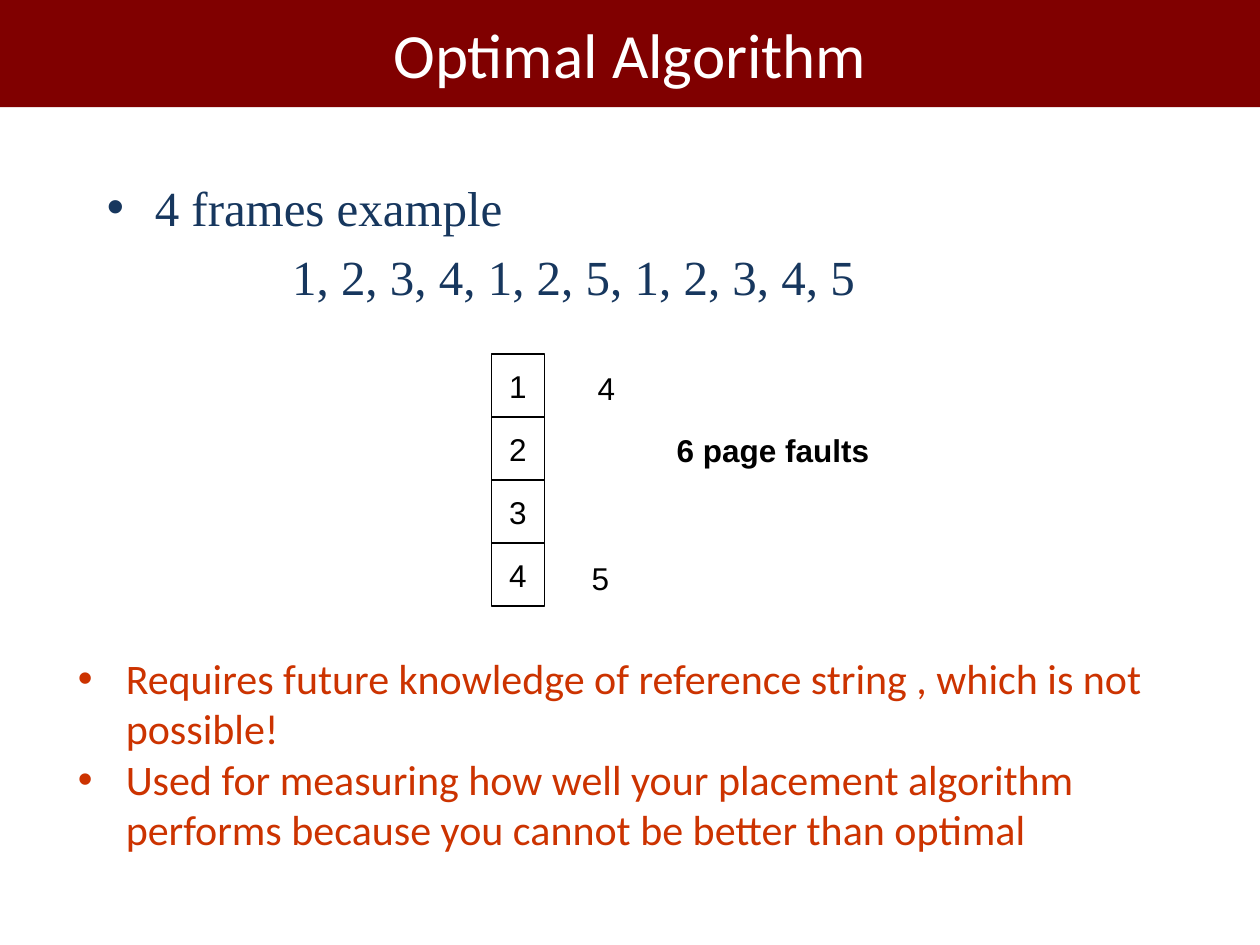
from lxml.etree import SubElement
from pptx import Presentation
from pptx.dml.color import RGBColor
from pptx.enum.shapes import MSO_SHAPE as Shape
from pptx.enum.text import MSO_ANCHOR as Anchor, PP_ALIGN as Align
from pptx.oxml.ns import qn
from pptx.util import Inches, Pt

COLORS = {
    "maroon": "800000",
    "white": "FFFFFF",
    "black": "000000",
    "navy": "17375E",
    "rust": "CC3300",
}
TITLE = {"name": "Calibri", "size": Pt(36), "color": "white"}
EXAMPLE = {"name": "Times New Roman", "size": Pt(28), "color": "navy"}
LABEL = {"name": "Arial", "size": Pt(18), "color": "black"}
BOLD_LABEL = {**LABEL, "bold": True}
REMARK = {"name": "Calibri", "size": Pt(24), "color": "rust"}
HANGING = 0.38


def rgb(color):
    return RGBColor.from_string(COLORS[color])


def style(paragraph, font_format):
    for attribute, value in font_format.items():
        if attribute == "color":
            paragraph.font.color.rgb = rgb(value)
        else:
            setattr(paragraph.font, attribute, value)


def write_line(paragraph, text, font_format, align=Align.CENTER):
    paragraph.text = text
    paragraph.alignment = align
    style(paragraph, font_format)


def indent(paragraph, left, first=0):
    properties = paragraph._p.get_or_add_pPr()
    properties.set("marL", str(Inches(left)))
    properties.set("indent", str(Inches(first)))
    return properties


def add_bullet(paragraph, color):
    properties = indent(paragraph, HANGING, -HANGING)
    bullet_color = SubElement(properties, qn("a:buClr"))
    SubElement(bullet_color, qn("a:srgbClr"), val=COLORS[color])
    SubElement(properties, qn("a:buFont"), typeface="Arial")
    SubElement(properties, qn("a:buChar"), char="•")


def add_box(slide, place, text, font_format, fill, outline=None):
    box = slide.shapes.add_shape(Shape.RECTANGLE, *map(Inches, place))
    box.shadow.inherit = False
    box.fill.solid()
    box.fill.fore_color.rgb = rgb(fill)
    if outline:
        box.line.color.rgb = rgb(outline)
        box.line.width = Pt(0.75)
    else:
        box.line.fill.background()
    box.text_frame.vertical_anchor = Anchor.MIDDLE
    box.text_frame.word_wrap = False
    write_line(box.text_frame.paragraphs[0], text, font_format)


def add_text_frame(slide, place, anchor=Anchor.TOP):
    frame = slide.shapes.add_textbox(*map(Inches, place)).text_frame
    frame.word_wrap = True
    frame.vertical_anchor = anchor
    return frame


def add_label(slide, place, text, font_format=LABEL, align=Align.CENTER):
    frame = add_text_frame(slide, place, Anchor.MIDDLE)
    frame.word_wrap = False
    write_line(frame.paragraphs[0], text, font_format, align)


def add_example(slide):
    frame = add_text_frame(slide, (0.75, 1.36, 8.98, 5.25))
    heading, reference_string = frame.paragraphs[0], frame.add_paragraph()
    add_bullet(heading, EXAMPLE["color"])
    write_line(heading, "4 frames example", EXAMPLE, Align.LEFT)
    indent(reference_string, 1.47)
    write_line(reference_string, "1, 2, 3, 4, 1, 2, 5, 1, 2, 3, 4, 5",
               EXAMPLE, Align.LEFT)
    reference_string.space_before = Pt(5.6)


def add_frames(slide):
    left, top, width, height = 3.9, 2.81, 0.42, 0.5
    for row in range(4):
        add_box(slide, (left, top + row * height, width, height),
                str(row + 1), LABEL, "white", "black")


def add_remarks(slide, remarks):
    frame = add_text_frame(slide, (0.52, 5.13, 9.03, 1.7))
    for number, remark in enumerate(remarks):
        paragraph = frame.add_paragraph() if number else frame.paragraphs[0]
        add_bullet(paragraph, REMARK["color"])
        write_line(paragraph, remark, REMARK, Align.LEFT)


def main():
    deck = Presentation()
    deck.slide_width, deck.slide_height = Inches(10), Inches(7.5)
    slide = deck.slides.add_slide(deck.slide_layouts[6])

    # Title band
    add_box(slide, (0, -0.01, 10, 0.86), "Optimal Algorithm", TITLE, "maroon")

    # Reference string
    add_example(slide)

    # Memory frames, the pages that replace them, and the fault count
    add_frames(slide)
    add_label(slide, (4.16, 2.88, 0.82, 0.4), "4", align=Align.RIGHT)
    add_label(slide, (4.4, 4.39, 0.73, 0.4), "5")
    add_label(slide, (5.27, 3.37, 1.73, 0.4), "6 page faults", BOLD_LABEL)

    # Remarks on the algorithm
    add_remarks(slide, [
        "Requires future knowledge of reference string , which is not possible!",
        "Used for measuring how well your placement algorithm performs "
        "because you cannot be better than optimal",
    ])

    deck.save("out.pptx")


if __name__ == "__main__":
    main()
